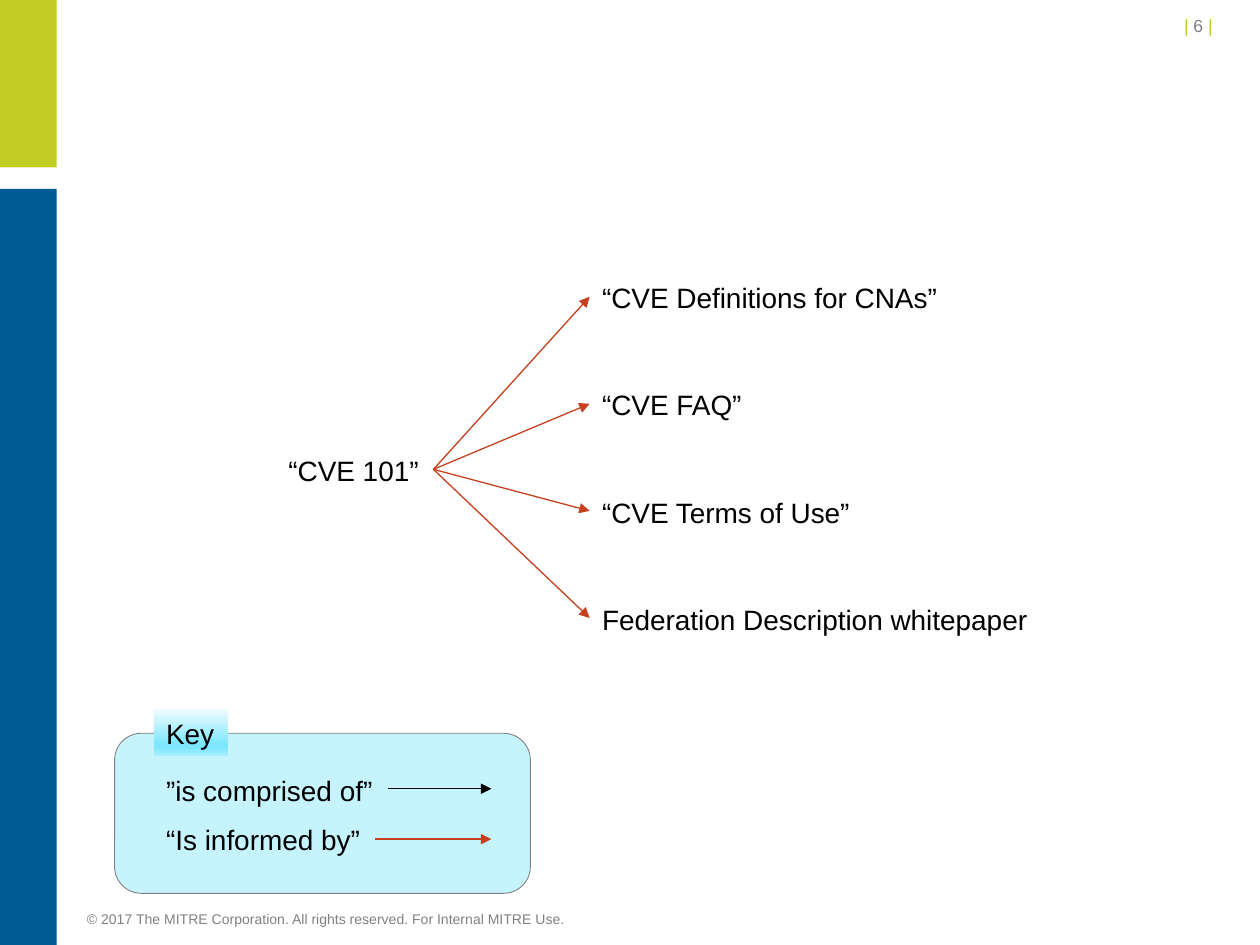
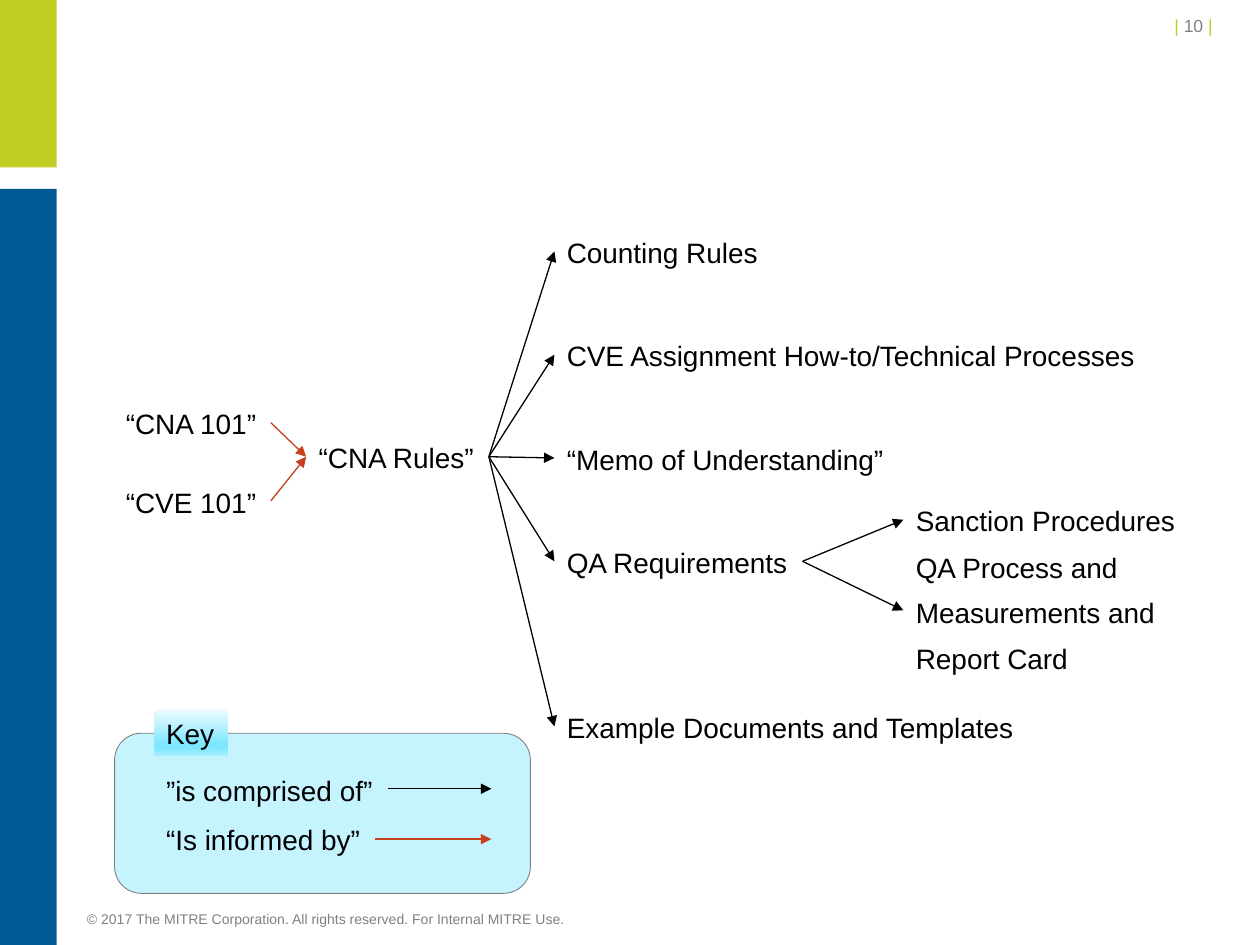
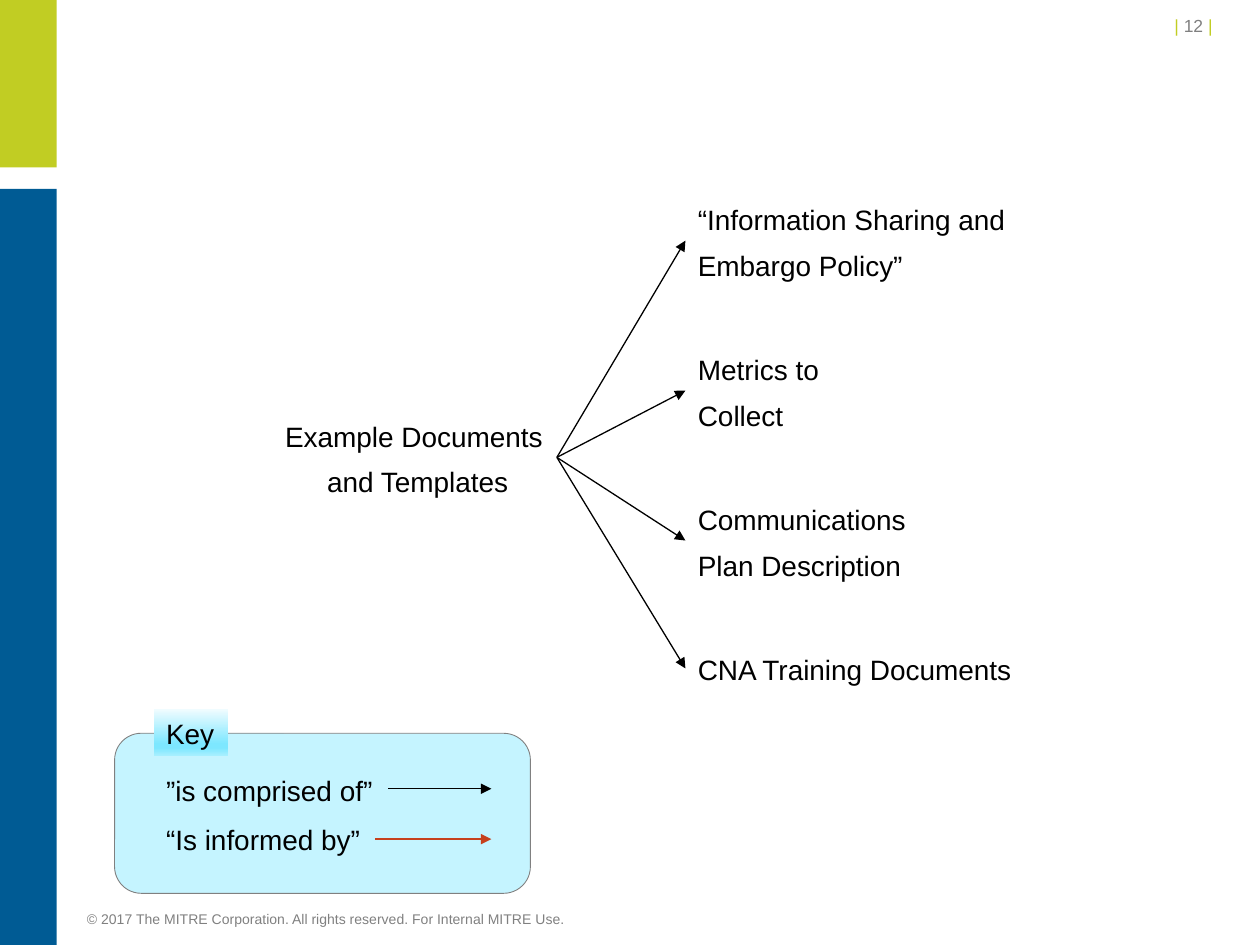
from dataclasses import dataclass
from typing import Any

from lxml import etree
from pptx import Presentation
from pptx.dml.color import RGBColor
from pptx.enum.shapes import MSO_CONNECTOR, MSO_SHAPE
from pptx.enum.text import MSO_AUTO_SIZE, PP_ALIGN
from pptx.oxml.ns import qn
from pptx.util import Emu, Pt

RECTANGLE = MSO_SHAPE.RECTANGLE
ROUNDED = MSO_SHAPE.ROUNDED_RECTANGLE
STRAIGHT = MSO_CONNECTOR.STRAIGHT
GROW = MSO_AUTO_SIZE.SHAPE_TO_FIT_TEXT
LEFT, CENTER, RIGHT = PP_ALIGN.LEFT, PP_ALIGN.CENTER, PP_ALIGN.RIGHT

# Shared look: 100 px to the inch
EMU_PER_PX = 9144
FONT = "Arial"
LIME, BLUE, GRAY, BLACK, RED = "C1CD23", "005B94", "808080", "000000", "C6401D"
KEY_FILL = "C5F4FF"
KEY_GRADIENT = [(0, "F0FCFF"), (74, "7DE7FF"), (83, "7DE7FF"), (100, "A8EFFF")]
COMPRISES, INFORMED = BLACK, RED
BODY_FORMAT = {"space_after": Pt(6), "line_spacing": 1.04}
NUMBER_FORMAT = {"space_after": Pt(6), "alignment": RIGHT}
COPYRIGHT = "© 2017 The MITRE Corporation. All rights reserved. For Internal MITRE Use."
LEFT_SITE, RIGHT_SITE = 1, 3


@dataclass(frozen=True)
class Box:
    left: int
    top: int
    width: int
    height: int


@dataclass(frozen=True)
class Node:
    name: str
    lines: tuple[str, ...]
    left: int
    top: int
    width: int
    wrap: bool = False
    alignment: Any = LEFT

    @property
    def box(self) -> Box:
        return Box(self.left, self.top, self.width, 37 + 35 * (len(self.lines) - 1))


@dataclass(frozen=True)
class Link:
    source: str
    target: str
    color: str = COMPRISES


@dataclass(frozen=True)
class Diagram:
    number: int
    nodes: list[Node]
    links: list[Link]


def px(length: int) -> Emu:
    return Emu(length * EMU_PER_PX)


def rgb(color: str) -> RGBColor:
    return RGBColor.from_string(color)


def frame(box: Box) -> list[Emu]:
    return [px(length) for length in (box.left, box.top, box.width, box.height)]


def apply_format(target, values: dict) -> None:
    for name, value in values.items():
        setattr(target, name, value)


# Drawing helpers
def add_block(slide, box: Box, fill: str, line: str = "", kind=RECTANGLE):
    shape = slide.shapes.add_shape(kind, *frame(box))
    shape.shadow.inherit = False
    shape.fill.solid()
    shape.fill.fore_color.rgb = rgb(fill)
    if line:
        shape.line.color.rgb = rgb(line)
        shape.line.width = Pt(0.5)
    else:
        shape.line.fill.background()
    return shape


def add_run(paragraph, text: str, size: int, color: str) -> None:
    run = paragraph.add_run()
    run.text = text
    apply_format(run.font, {"name": FONT, "size": Pt(size)})
    run.font.color.rgb = rgb(color)


def add_text(slide, box: Box, lines: list[list[tuple[str, str]]], size: int,
             paragraph_format: dict, wrap: bool = True):
    shape = slide.shapes.add_textbox(*frame(box))
    text_frame = shape.text_frame
    apply_format(text_frame, {"word_wrap": wrap, "auto_size": GROW})
    for index, runs in enumerate(lines):
        paragraph = text_frame.add_paragraph() if index else text_frame.paragraphs[0]
        apply_format(paragraph, paragraph_format)
        for text, color in runs:
            add_run(paragraph, text, size, color)
    return shape


def add_node(slide, node: Node):
    lines = [[(line, BLACK)] for line in node.lines]
    paragraph_format = BODY_FORMAT | {"alignment": node.alignment}
    return add_text(slide, node.box, lines, 16, paragraph_format, node.wrap)


def add_arrow(slide, start: tuple[int, int], end: tuple[int, int], color: str):
    arrow = slide.shapes.add_connector(STRAIGHT, *[px(value) for value in start + end])
    arrow.line.color.rgb = rgb(color)
    arrow.line.width = Pt(0.75)
    etree.SubElement(arrow.line._get_or_add_ln(), qn("a:tailEnd"), type="triangle")
    etree.SubElement(arrow._element.spPr, qn("a:effectLst"))
    return arrow


def fill_gradient(shape, stops: list[tuple[int, str]]) -> None:
    shape.fill.gradient()
    shape.fill.gradient_angle = 270
    stop_list = shape._element.spPr.find(".//" + qn("a:gsLst"))
    stop_list.clear()
    for percent, color in stops:
        stop = etree.SubElement(stop_list, qn("a:gs"), pos=str(percent * 1000))
        etree.SubElement(stop, qn("a:srgbClr"), val=color)


# Parts found on every slide
def add_page_frame(slide, number: int) -> None:
    add_block(slide, Box(0, 0, 45, 133), LIME)
    add_block(slide, Box(0, 150, 45, 600), BLUE)
    number_runs = [("| ", LIME), (f"{number} ", GRAY), ("| ", LIME)]
    add_text(slide, Box(801, 7, 175, 27), [number_runs], 10, NUMBER_FORMAT)
    footer = add_text(slide, Box(69, 723, 500, 13), [[(COPYRIGHT, GRAY)]], 8, {})
    sides = ("left", "top", "right", "bottom")
    apply_format(footer.text_frame, {f"margin_{side}": 0 for side in sides})


def add_key(slide) -> None:
    add_block(slide, Box(91, 582, 330, 127), KEY_FILL, GRAY, ROUNDED)
    add_node(slide, Node("informed", ("“Is informed by”",), 122, 647, 177))
    add_node(slide, Node("comprised", ("”is comprised of”",), 122, 608, 187))
    add_arrow(slide, (308, 626), (390, 626), COMPRISES)
    add_arrow(slide, (298, 666), (390, 666), INFORMED)
    label = add_node(slide, Node("key", ("Key",), 122, 563, 59))
    fill_gradient(label, KEY_GRADIENT)


def add_diagram(slide, diagram: Diagram) -> None:
    shapes = {node.name: add_node(slide, node) for node in diagram.nodes}
    for link in diagram.links:
        arrow = add_arrow(slide, (0, 0), (0, 0), link.color)
        arrow.begin_connect(shapes[link.source], RIGHT_SITE)
        arrow.end_connect(shapes[link.target], LEFT_SITE)


# Diagram content
def column(left: int, top: int, step: int, *entries: tuple) -> list[Node]:
    """Stack (name, lines, width[, wrap]) entries at equal steps."""
    return [Node(name, lines, left, top + index * step, *rest)
            for index, (name, lines, *rest) in enumerate(entries)]


def fan_out(source: str, targets: list[Node], color: str = COMPRISES) -> list[Link]:
    return [Link(source, target.name, color) for target in targets]


def cve_diagram() -> Diagram:
    documents = column(
        468, 217, 85,
        ("definitions", ("“CVE Definitions for CNAs”",), 290),
        ("faq", ("“CVE FAQ”",), 133),
        ("terms", ("“CVE Terms of Use”",), 230, True),
        ("federation", ("Federation Description whitepaper",), 378, True),
    )
    root = Node("cve", ("“CVE 101”",), 219, 354, 125)
    return Diagram(6, [root, *documents], fan_out("cve", documents, INFORMED))


def rules_diagram() -> Diagram:
    courses = column(90, 317, 62, ("cna", ("“CNA 101”",), 125),
                     ("cve", ("“CVE 101”",), 125))
    root = Node("rules", ("“CNA Rules”",), 243, 344, 145)
    sections = column(
        440, 181, 82,
        ("counting", ("Counting Rules",), 173),
        ("assignment", ("CVE Assignment How-to/Technical Processes",), 476),
        ("memo", ("“Memo of Understanding”",), 275),
        ("quality", ("QA Requirements",), 197),
    )
    sections.append(
        Node("examples", ("Example Documents and Templates",), 440, 558, 379))
    procedures = [
        Node("sanctions", ("Sanction Procedures",), 717, 394, 228),
        Node("process", ("QA Process and", "Measurements and", "Report Card"),
             717, 431, 219),
    ]
    links = [Link(course.name, "rules", INFORMED) for course in courses]
    links += fan_out("rules", sections) + fan_out("quality", procedures)
    return Diagram(10, [*courses, root, *sections, *procedures], links)


def examples_diagram() -> Diagram:
    documents = column(
        544, 155, 119,
        ("sharing", ("“Information Sharing and", "Embargo Policy”"), 267),
        ("metrics", ("Metrics to", "Collect"), 118),
        ("communications", ("Communications", "Plan Description"), 187),
        ("training", ("CNA Training Documents",), 272),
    )
    root = Node("examples", ("Example Documents", " and Templates"),
                215, 327, 227, alignment=CENTER)
    return Diagram(12, [root, *documents], fan_out("examples", documents))


def main() -> None:
    presentation = Presentation()
    apply_format(presentation, {"slide_width": px(1000), "slide_height": px(750)})
    blank = presentation.slide_layouts[6]
    for diagram in (cve_diagram(), rules_diagram(), examples_diagram()):
        slide = presentation.slides.add_slide(blank)
        add_page_frame(slide, diagram.number)
        add_key(slide)
        add_diagram(slide, diagram)
    presentation.save("out.pptx")


if __name__ == "__main__":
    main()
